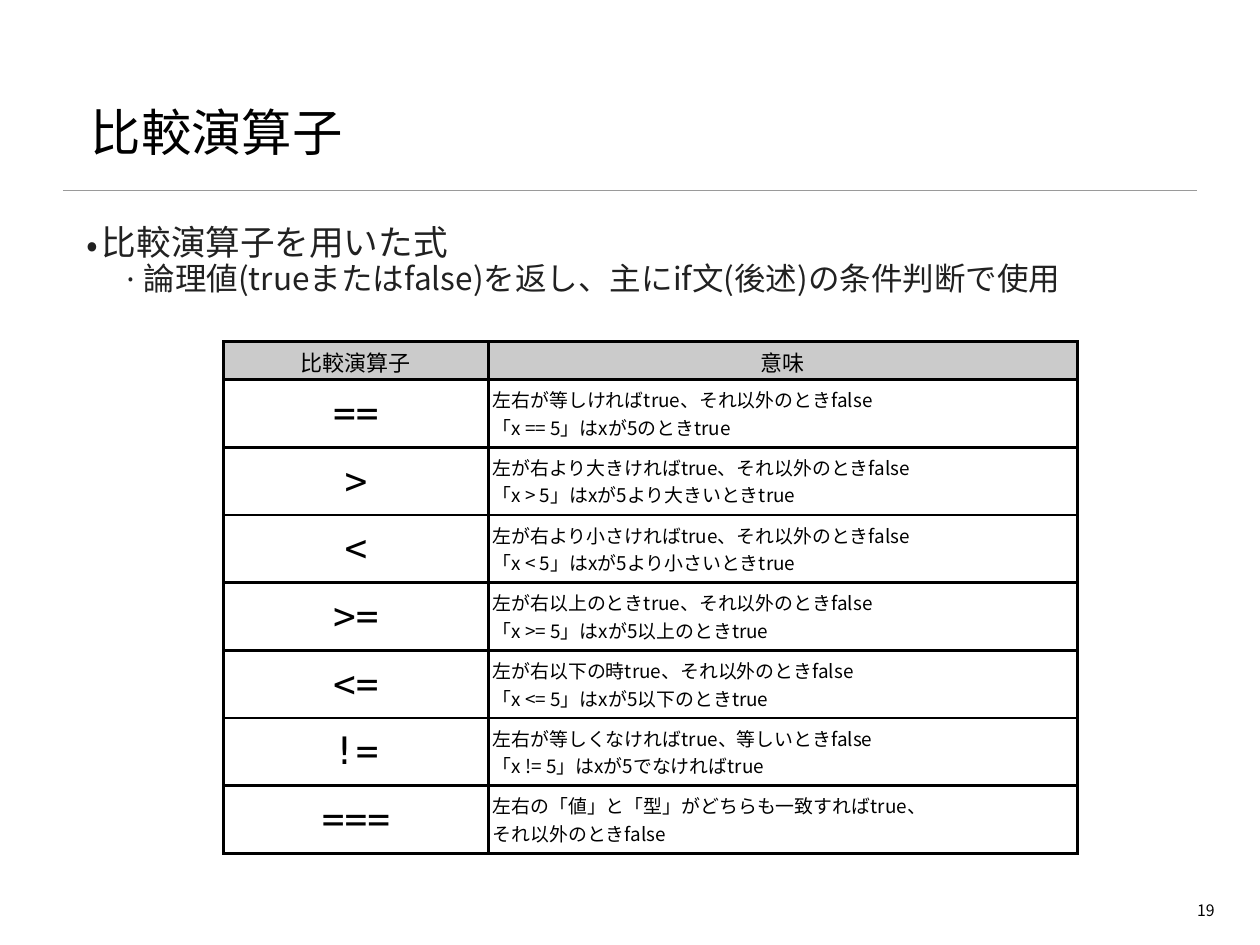
from lxml.etree import SubElement
from pptx import Presentation
from pptx.dml.color import RGBColor
from pptx.enum.shapes import MSO_CONNECTOR
from pptx.enum.text import MSO_ANCHOR, PP_ALIGN
from pptx.oxml.ns import qn
from pptx.util import Pt

SANS = "Noto Sans CJK JP"
MONO = "DejaVu Sans Mono"
INSET = 2.88

BULLETS = [  # text, size, left indent, bullet size in percent
    ("比較演算子を用いた式", 22, 10, 100),
    ("論理値(trueまたはfalse)を返し、主にif文(後述)の条件判断で使用", 20, 36.5, 50),
]
HEADER = ("比較演算子", "意味")
OPERATORS = [
    ("==", "左右が等しければtrue、それ以外のときfalse", "「x == 5」はxが5のときtrue"),
    (">", "左が右より大きければtrue、それ以外のときfalse", "「x > 5」はxが5より大きいときtrue"),
    ("<", "左が右より小さければtrue、それ以外のときfalse", "「x < 5」はxが5より小さいときtrue"),
    (">=", "左が右以上のときtrue、それ以外のときfalse", "「x >= 5」はxが5以上のときtrue"),
    ("<=", "左が右以下の時true、それ以外のときfalse", "「x <= 5」はxが5以下のときtrue"),
    ("!=", "左右が等しくなければtrue、等しいときfalse", "「x != 5」はxが5でなければtrue"),
    ("===", "左右の「値」と「型」がどちらも一致すればtrue、", "それ以外のときfalse"),
]


def color(value):
    return RGBColor.from_string(value)


def add_run(p, text, size, font=SANS, fill="000000"):
    r = p.add_run()
    r.text = text
    r.font.size = Pt(size)
    r.font.name = font
    r.font.color.rgb = color(fill)
    SubElement(r._r.get_or_add_rPr(), qn("a:ea"), typeface=SANS)


def set_margins(frame, inset):
    frame.margin_left = frame.margin_right = Pt(inset)
    frame.margin_top = frame.margin_bottom = Pt(inset)


def add_title(s, text):
    title = s.shapes.title
    title.left, title.top = Pt(54.7), Pt(20.2)
    title.width, title.height = Pt(690.5), Pt(85.7)
    tf = title.text_frame
    set_margins(tf, INSET)
    tf.vertical_anchor = MSO_ANCHOR.BOTTOM
    p = tf.paragraphs[0]
    p.alignment = PP_ALIGN.LEFT
    p.line_spacing = 0.9
    add_run(p, text, 32)


def add_rule(s, left, right, y):
    rule = s.shapes.add_connector(MSO_CONNECTOR.STRAIGHT, Pt(left), Pt(y), Pt(right), Pt(y))
    rule.line.color.rgb = color("9A9A9A")
    rule.line.width = Pt(1)
    SubElement(rule._element.spPr, qn("a:effectLst"))


def add_text_box(s, left, top, width, height, inset, wrap=True):
    sp = s.shapes.add_textbox(Pt(left), Pt(top), Pt(width), Pt(height))
    tf = sp.text_frame
    set_margins(tf, inset)
    tf.word_wrap = wrap
    return tf


def set_bullet(p, left, percent):
    pPr = p._p.get_or_add_pPr()
    pPr.set("marL", str(Pt(left)))
    pPr.set("indent", str(-Pt(10)))
    SubElement(pPr, qn("a:buSzPct"), val=str(percent * 1000))
    SubElement(pPr, qn("a:buFont"), typeface=SANS)
    SubElement(pPr, qn("a:buChar"), char="•")


def add_bullets(s, items):
    tf = add_text_box(s, 54.7, 143.3, 690.5, 404, 0)
    for level, (text, size, left, percent) in enumerate(items):
        p = tf.add_paragraph() if level else tf.paragraphs[0]
        p.level = level
        p.line_spacing = 0.9
        set_bullet(p, left, percent)
        add_run(p, text, size, fill="212121")


def set_borders(cell, width, value):
    tcPr = cell._tc.get_or_add_tcPr()
    for index, side in enumerate(("lnL", "lnR", "lnT", "lnB")):
        ln = tcPr.makeelement(qn(f"a:{side}"), {"w": str(Pt(width))})
        tcPr.insert(index, ln)
        fill = SubElement(ln, qn("a:solidFill"))
        SubElement(fill, qn("a:srgbClr"), val=value)


def fill_cell(cell, lines, size, font=SANS, align=PP_ALIGN.CENTER, fill="FFFFFF"):
    set_margins(cell, INSET)
    cell.vertical_anchor = MSO_ANCHOR.MIDDLE
    cell.fill.solid()
    cell.fill.fore_color.rgb = color(fill)
    set_borders(cell, 2, "000000")
    p = cell.text_frame.paragraphs[0]
    p.alignment = align
    for i, line in enumerate(lines):
        if i:
            p.add_line_break()
        add_run(p, line, size, font)


def add_operator_table(s):
    rows = len(OPERATORS) + 1
    frame = s.shapes.add_table(rows, 2, Pt(142), Pt(217), Pt(542), Pt(325))
    table = frame.table
    for column, width in zip(table.columns, (168, 374)):
        column.width = Pt(width)
    for i, row in enumerate(table.rows):
        row.height = Pt(43 if i else 24)

    for c, (text, font) in enumerate(zip(HEADER, (MONO, SANS))):
        fill_cell(table.cell(0, c), [text], 14, font, fill="CBCBCB")
    for i, (operator, *meaning) in enumerate(OPERATORS, 1):
        fill_cell(table.cell(i, 0), [operator], 24, MONO)
        fill_cell(table.cell(i, 1), meaning, 12, align=PP_ALIGN.LEFT)


def add_page_number(s, number):
    tf = add_text_box(s, 754, 569, 20, 16, INSET, wrap=False)
    p = tf.paragraphs[0]
    p.alignment = PP_ALIGN.RIGHT
    add_run(p, number, 10)


def main():
    prs = Presentation()
    prs.slide_width, prs.slide_height = Pt(800), Pt(600)
    s = prs.slides.add_slide(prs.slide_layouts[5])

    # Heading
    add_rule(s, 40, 760, 121)
    add_title(s, "比較演算子")

    # Content
    add_bullets(s, BULLETS)
    add_operator_table(s)

    # Footer
    add_page_number(s, "19")
    prs.save("out.pptx")


if __name__ == "__main__":
    main()
